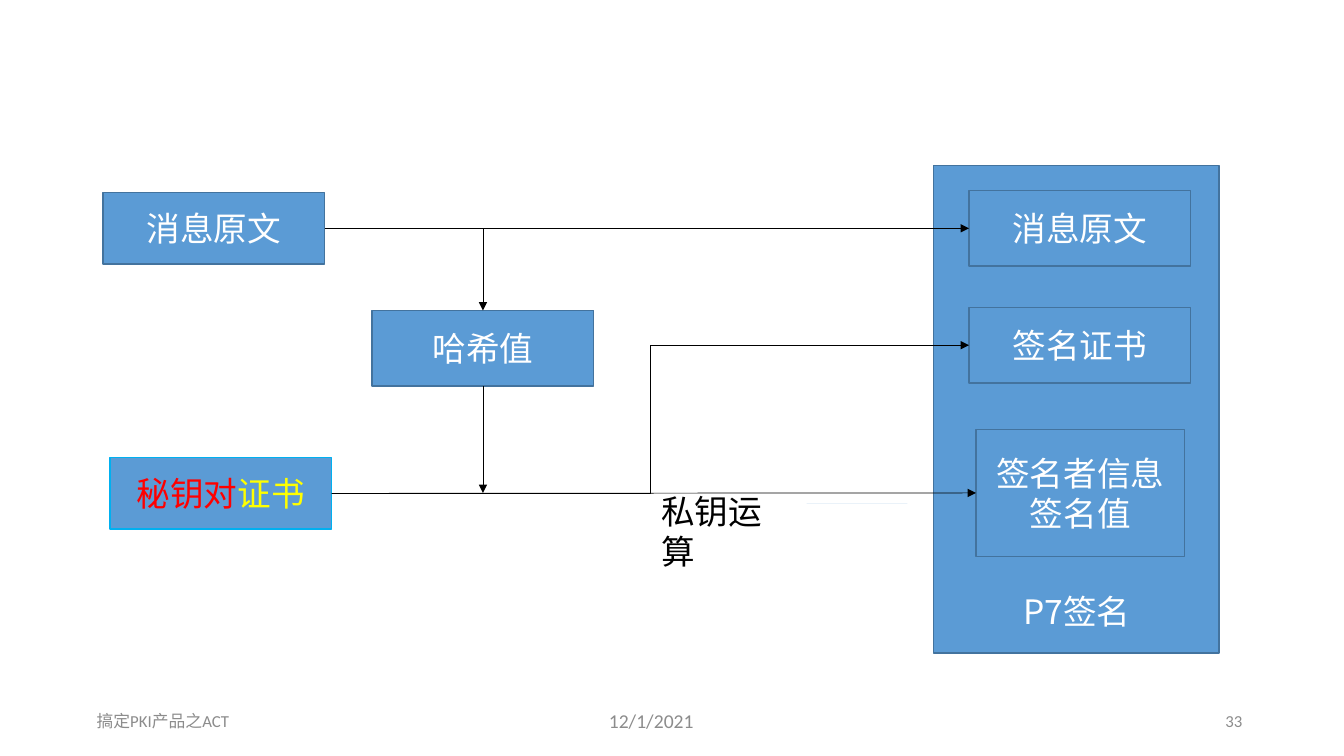
from math import cos, radians, sin

from lxml.etree import SubElement
from pptx import Presentation
from pptx.dml.color import RGBColor
from pptx.enum.shapes import MSO_CONNECTOR, MSO_SHAPE
from pptx.enum.text import MSO_ANCHOR, PP_ALIGN
from pptx.oxml.ns import qn
from pptx.util import Inches, Pt

BLUE = "5B9BD5"
DARK_BLUE = "43739E"
CYAN = "00B0F0"
WHITE = "FFFFFF"
BLACK = "000000"
GRAY = "8C8C8C"
RED = "FF0000"
YELLOW = "FFFF00"
DIAGRAM_FONT = "Noto Sans CJK SC"
FOOTER_FONT = "Calibri"
BOX_WIDTH = 2.2


def color(value):
    return RGBColor.from_string(value)


def set_format(target, values):
    for name, value in values.items():
        setattr(target, name, value)


def write_text(shape, lines, size=24, font=DIAGRAM_FONT, align=PP_ALIGN.CENTER, wrap=True):
    frame = shape.text_frame
    set_format(frame, {"word_wrap": wrap, "vertical_anchor": MSO_ANCHOR.MIDDLE})
    for index, runs in enumerate(lines):
        paragraph = frame.add_paragraph() if index else frame.paragraphs[0]
        paragraph.alignment = align
        for text, text_color in runs:
            run = paragraph.add_run()
            run.text = text
            set_format(run.font, {"size": Pt(size), "name": font})
            run.font.color.rgb = color(text_color)
            SubElement(run.font._element, qn("a:ea"), typeface=DIAGRAM_FONT)


def add_box(slide, left, top, width, height, lines=(), outline=DARK_BLUE):
    box = slide.shapes.add_shape(
        MSO_SHAPE.RECTANGLE, Inches(left), Inches(top), Inches(width), Inches(height)
    )
    box.shadow.inherit = False
    box.fill.solid()
    box.fill.fore_color.rgb = color(BLUE)
    box.line.color.rgb = color(outline)
    box.line.width = Pt(1)
    write_text(box, lines)
    return box


def add_label(slide, left, top, width, height, text, text_color, **text_format):
    label = slide.shapes.add_textbox(Inches(left), Inches(top), Inches(width), Inches(height))
    write_text(label, [[(text, text_color)]], **text_format)


def add_arrow(slide, start, end, source=None, target=None, kind=MSO_CONNECTOR.STRAIGHT):
    arrow = slide.shapes.add_connector(kind, *(Inches(value) for value in start + end))
    if source:
        arrow.begin_connect(*source)
    if target:
        arrow.end_connect(*target)
    arrow.line.color.rgb = color(BLACK)
    arrow.line.width = Pt(0.5)
    SubElement(arrow.line._get_or_add_ln(), qn("a:tailEnd"), type="triangle")
    SubElement(arrow._element.spPr, qn("a:effectLst"))


def arc(center_x, center_y, radius, first=0, last=360):
    return [
        (center_x + radius * cos(radians(angle)), center_y + radius * sin(radians(angle)))
        for angle in range(first, last + 1, 10)
    ]


def add_key_icon(slide):
    cuff = [(8.01, 5.26), (8.11, 5.26), (8.13, 5.28), (8.11, 5.45), (8.1, 5.46),
            (7.98, 5.46), (7.97, 5.44), (7.99, 5.27)]
    hand = [(8.17, 5.27), (8.23, 5.25), (8.29, 5.25), (8.35, 5.26), (8.46, 5.3),
            (8.47, 5.33), (8.45, 5.35), (8.33, 5.34), (8.37, 5.36), (8.46, 5.37),
            (8.53, 5.35), (8.6, 5.32), (8.63, 5.32), (8.64, 5.34), (8.62, 5.37),
            (8.54, 5.43), (8.45, 5.47), (8.21, 5.43), (8.17, 5.45), (8.16, 5.44)]
    shaft = [(8.44, 5.14), (8.46, 5.1), (8.49, 5.09), (8.51, 5.11), (8.5, 5.16),
             (8.52, 5.17), (8.54, 5.13), (8.57, 5.12), (8.59, 5.15), (8.58, 5.18),
             (8.6, 5.2), (8.6, 5.22), (8.58, 5.24), (8.56, 5.24), (8.34, 5.17)]
    key = arc(8.24, 5.12, 0.11, 40, 360) + shaft
    outlines = [cuff, arc(8.05, 5.41, 0.03), hand, key, arc(8.24, 5.12, 0.07)]
    builder = slide.shapes.build_freeform(*cuff[0], scale=Inches(1))
    for outline in outlines:
        builder.move_to(*outline[0])
        builder.add_line_segments(outline[1:], close=True)
    icon = builder.convert_to_shape()
    icon.shadow.inherit = False
    icon.fill.solid()
    icon.fill.fore_color.rgb = color(BLUE)
    icon.line.fill.background()


def add_footer(slide):
    footer = {"font": FOOTER_FONT, "size": 12}
    add_label(slide, 5.94, 6.95, 1.18, 0.4, "12/1/2021", GRAY,
              font=FOOTER_FONT, size=14, align=PP_ALIGN.LEFT)
    add_label(slide, 0.82, 6.95, 1.59, 0.4, "搞定PKI产品之ACT", GRAY, **footer)
    add_label(slide, 9.42, 6.95, 3, 0.4, "33", GRAY, align=PP_ALIGN.RIGHT, **footer)


def add_diagram(slide):
    add_box(slide, 9.26, 1.64, 2.83, 4.84)
    message = add_box(slide, 1.02, 1.91, BOX_WIDTH, 0.71, [[("消息原文", WHITE)]])
    signed_message = add_box(slide, 9.61, 1.89, BOX_WIDTH, 0.75, [[("消息原文", WHITE)]])
    certificate = add_box(slide, 9.61, 3.05, BOX_WIDTH, 0.75, [[("签名证书", WHITE)]])
    key_pair = add_box(slide, 1.09, 4.54, BOX_WIDTH, 0.71,
                       [[("秘钥对", RED), ("证书", YELLOW)]], CYAN)
    signer = add_box(slide, 9.68, 4.26, 2.07, 1.26,
                     [[("签名者信息", WHITE)], [("签名值", WHITE)]])
    hash_value = add_box(slide, 3.69, 3.08, BOX_WIDTH, 0.75, [[("哈希值", WHITE)]])

    add_arrow(slide, (3.22, 2.27), (9.61, 2.26), (message, 3), (signed_message, 1))
    add_arrow(slide, (3.29, 4.89), (9.68, 4.89), (key_pair, 3), (signer, 1))
    add_arrow(slide, (3.29, 4.89), (9.61, 3.42), (key_pair, 3), (certificate, 1),
              MSO_CONNECTOR.ELBOW)
    add_arrow(slide, (4.79, 2.27), (4.79, 3.08), target=(hash_value, 0))
    add_arrow(slide, (4.79, 3.83), (4.79, 4.89), source=(hash_value, 2))

    label = {"align": PP_ALIGN.LEFT, "wrap": False}
    add_label(slide, 10.05, 5.69, 1.95, 0.75, "P7签名", WHITE, **label)
    add_label(slide, 6.46, 4.77, 1.49, 1, "私钥运算", BLACK, **label)
    add_key_icon(slide)


def main():
    presentation = Presentation()
    set_format(presentation, {"slide_width": Inches(13.33), "slide_height": Inches(7.5)})
    slide = presentation.slides.add_slide(presentation.slide_layouts[6])
    add_footer(slide)
    add_diagram(slide)
    presentation.save("out.pptx")


if __name__ == "__main__":
    main()
